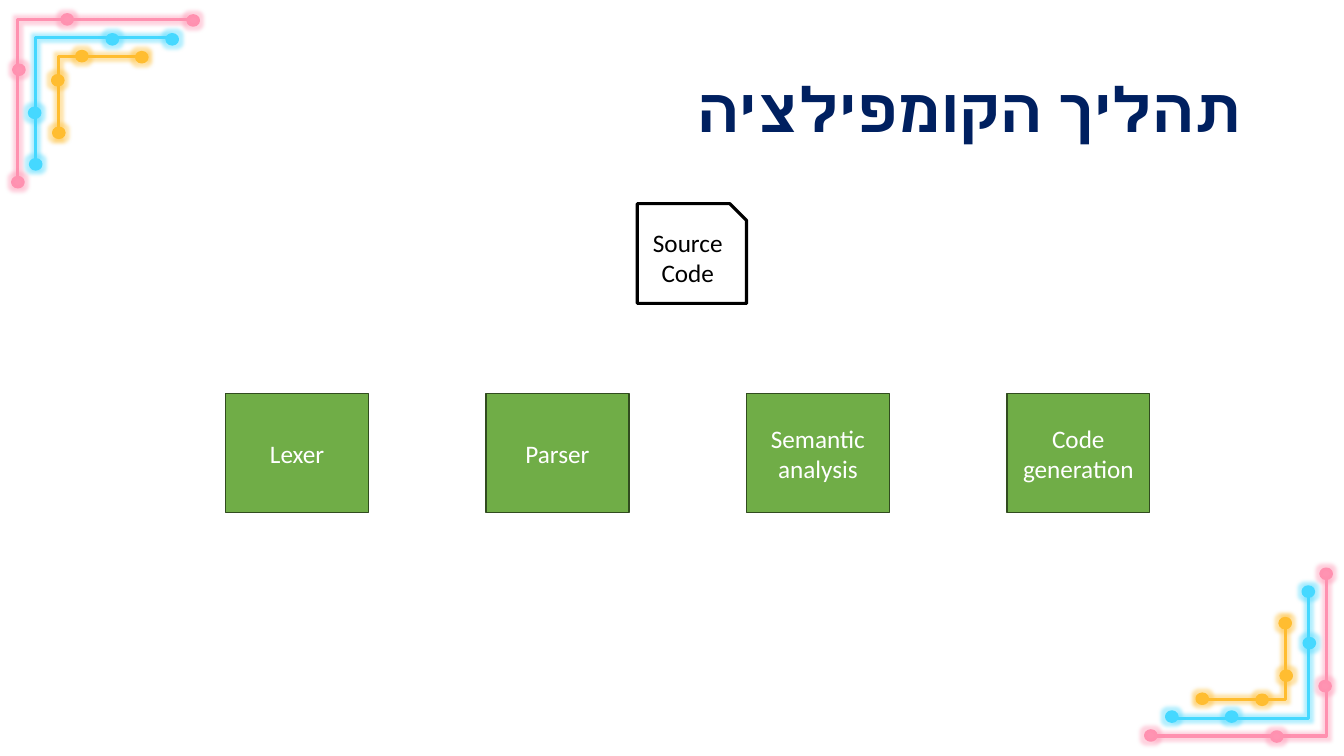
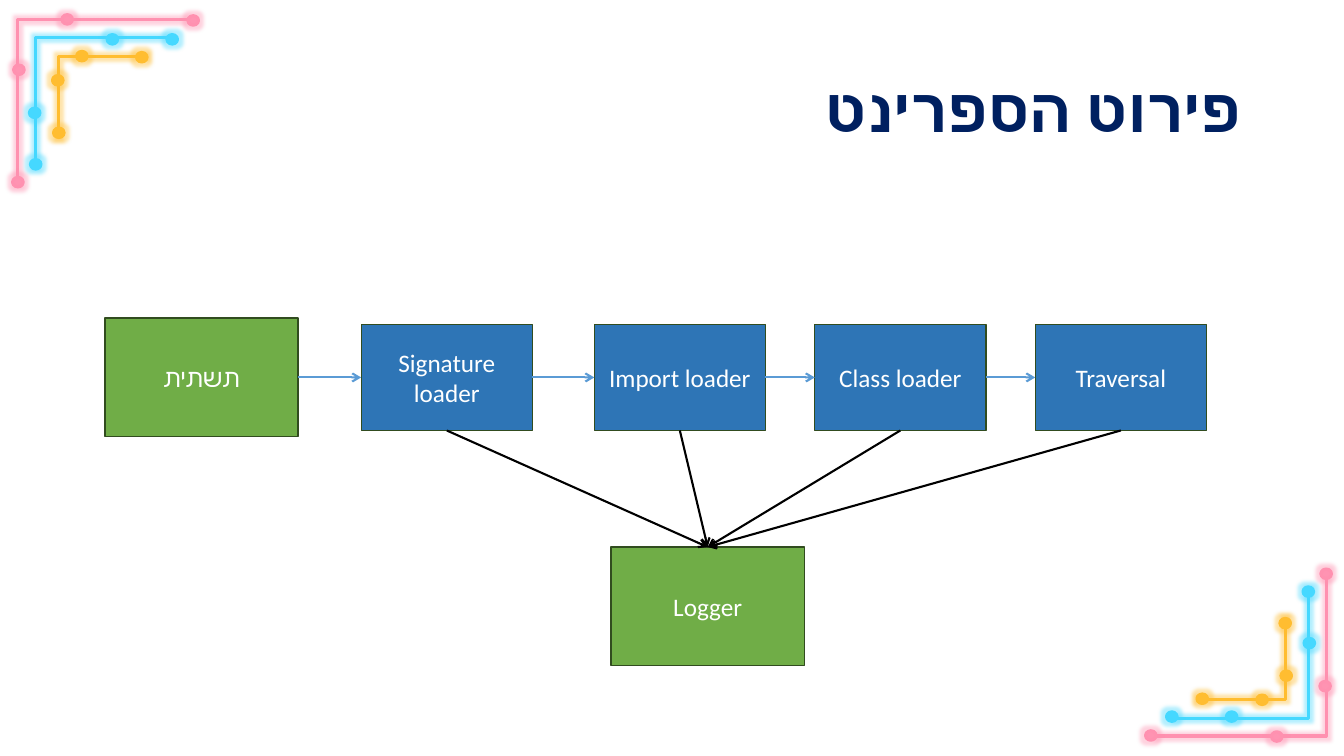
"""Build two slides that chart a compiler's stages and its sprint tasks."""
from lxml.etree import SubElement
from pptx import Presentation
from pptx.dml.color import RGBColor
from pptx.enum.shapes import MSO_CONNECTOR, MSO_SHAPE
from pptx.enum.text import MSO_ANCHOR, PP_ALIGN
from pptx.oxml.ns import qn
from pptx.util import Pt

PX = 9525
WIDTH, HEIGHT = 1280, 720
DOT_W, DOT_H = 10, 9

WHITE = RGBColor(0xFF, 0xFF, 0xFF)
BLACK = RGBColor(0x00, 0x00, 0x00)
NAVY = RGBColor(0x00, 0x20, 0x60)
GREEN = RGBColor(0x70, 0xAD, 0x47)
DARK_GREEN = RGBColor(0x31, 0x4C, 0x1F)
BLUE = RGBColor(0x2E, 0x75, 0xB6)
LIGHT_BLUE = RGBColor(0x5B, 0x9B, 0xD5)
CYAN = RGBColor(0x45, 0xD8, 0xFF)
PINK = RGBColor(0xFF, 0x91, 0xB0)
PINK_DOT = RGBColor(0xFF, 0x93, 0xB2)
YELLOW = RGBColor(0xFF, 0xBD, 0x30)

TRACES = [
    (CYAN, CYAN, [(34, 159), (34, 36), (161, 36)],
     [(29, 152), (159, 33), (28, 103), (102, 33)]),
    (PINK, PINK_DOT, [(17, 175), (17, 19), (178, 19)],
     [(12, 169), (179, 15), (59, 14), (13, 62)]),
    (YELLOW, YELLOW, [(56, 131), (56, 54), (139, 54)],
     [(51, 122), (50, 72), (130, 50), (73, 49)]),
]


def add_xml(parent, tag, **attrs):
    """Append a child element with the given attributes."""
    return SubElement(parent, qn(tag), attrs)


def write(tf, text, font="Calibri", size=18, color=WHITE, bold=False,
          align=PP_ALIGN.CENTER, spacing=1.0):
    """Fill a text frame with one right-to-left paragraph."""
    tf.word_wrap = True
    tf.vertical_anchor = MSO_ANCHOR.MIDDLE
    p = tf.paragraphs[0]
    p.alignment = align
    p.line_spacing = spacing
    p._p.get_or_add_pPr().set("rtl", "1")
    r = p.add_run()
    r.text = text
    r.font.name = font
    r.font.size = Pt(size)
    r.font.bold = bold
    r.font.color.rgb = color
    add_xml(r.font._element, "a:cs", typeface=font)


class Deck:
    """Hold the shared style and the current slide."""

    def __init__(self):
        """Start an empty widescreen presentation."""
        self.prs = Presentation()
        self.prs.slide_width = WIDTH * PX
        self.prs.slide_height = HEIGHT * PX

    def new_slide(self, title):
        """Add a slide with corner traces and a title."""
        self.s = self.prs.slides.add_slide(self.prs.slide_layouts[6])
        self.corner(mirrored=True)
        self.corner(mirrored=False)
        sp = self.s.shapes.add_textbox(88 * PX, 38 * PX, 1104 * PX, 139 * PX)
        write(sp.text_frame, title, font="Lato", size=44, color=NAVY,
              bold=True, align=PP_ALIGN.RIGHT, spacing=0.9)

    def style(self, sp, fill, line, width):
        """Set fill and outline and drop the shadow."""
        if fill is None:
            sp.fill.background()
        else:
            sp.fill.solid()
            sp.fill.fore_color.rgb = fill
        sp.line.color.rgb = line
        sp.line.width = Pt(width)
        sp.shadow.inherit = False

    def glow(self, sp, color):
        """Put a soft halo around a shape."""
        effects = sp._element.spPr.find(qn("a:effectLst"))
        halo = add_xml(effects, "a:glow", rad="63500")
        clr = add_xml(halo, "a:srgbClr", val=str(color))
        add_xml(clr, "a:alpha", val="40000")

    def corner(self, mirrored):
        """Draw the glowing traces of one corner."""
        def place(x, y, w=0, h=0):
            return (WIDTH - x - w, HEIGHT - y - h) if mirrored else (x, y)

        for color, _, points, _ in TRACES:
            start, *rest = [place(*point) for point in points]
            builder = self.s.shapes.build_freeform(*start, scale=PX)
            builder.add_line_segments(rest, close=False)
            sp = builder.convert_to_shape()
            self.style(sp, None, color, 2.25)
            self.glow(sp, color)
        for color, fill, _, dots in TRACES:
            for x, y in dots:
                left, top = place(x, y, DOT_W, DOT_H)
                sp = self.shape(MSO_SHAPE.OVAL, left, top, DOT_W, DOT_H,
                                fill, color, 2.25)
                self.glow(sp, color)

    def shape(self, kind, x, y, w, h, fill, line, width):
        """Add a styled preset shape."""
        sp = self.s.shapes.add_shape(kind, x * PX, y * PX, w * PX, h * PX)
        self.style(sp, fill, line, width)
        return sp

    def box(self, text, x, y, w, h, fill=GREEN):
        """Add a labelled process box."""
        sp = self.shape(MSO_SHAPE.RECTANGLE, x, y, w, h, fill, DARK_GREEN, 1)
        write(sp.text_frame, text)
        return sp

    def document(self, text, x, y, w, h):
        """Add a sheet with a snipped corner."""
        sp = self.shape(MSO_SHAPE.SNIP_1_RECTANGLE, x, y, w, h,
                        WHITE, BLACK, 2.25)
        write(sp.text_frame, text, color=BLACK)

    def arrow(self, source, source_site, target, target_site, color):
        """Glue an arrow between two shapes."""
        c = self.s.shapes.add_connector(MSO_CONNECTOR.STRAIGHT, 0, 0, 0, 0)
        c.begin_connect(source, source_site)
        c.end_connect(target, target_site)
        c.line.color.rgb = color
        c.line.width = Pt(1.5)
        props = c._element.spPr
        add_xml(props.find(qn("a:ln")), "a:tailEnd", type="arrow")
        add_xml(props, "a:effectLst")


def compilation_slide(deck):
    """Show the source file above the four compiler stages."""
    deck.new_slide("תהליך הקומפילציה")
    deck.document("Source Code", 607, 194, 104, 95)
    stages = ["Lexer", "Parser", "Semantic analysis", "Code generation"]
    for i, stage in enumerate(stages):
        deck.box(stage, 215 + 248 * i, 375, 136, 113)


def sprint_slide(deck):
    """Show the chain of loaders, each reporting to the logger."""
    deck.new_slide("פירוט הספרינט")
    top, right, bottom, left = 0, 3, 2, 1
    base = deck.box("תשתית", 100, 303, 184, 113)
    logger = deck.box("Logger", 582, 521, 184, 113)
    tasks = [("Signature loader", 344), ("Import loader", 566),
             ("Class loader", 776), ("Traversal", 986)]
    loaders = [deck.box(text, x, 309, 163, 101, BLUE) for text, x in tasks]
    for previous, loader in zip([base] + loaders, loaders):
        deck.arrow(previous, right, loader, left, LIGHT_BLUE)
        deck.arrow(loader, bottom, logger, top, BLACK)


def main():
    """Build and save the deck."""
    deck = Deck()
    compilation_slide(deck)
    sprint_slide(deck)
    deck.prs.save("out.pptx")


if __name__ == "__main__":
    main()
